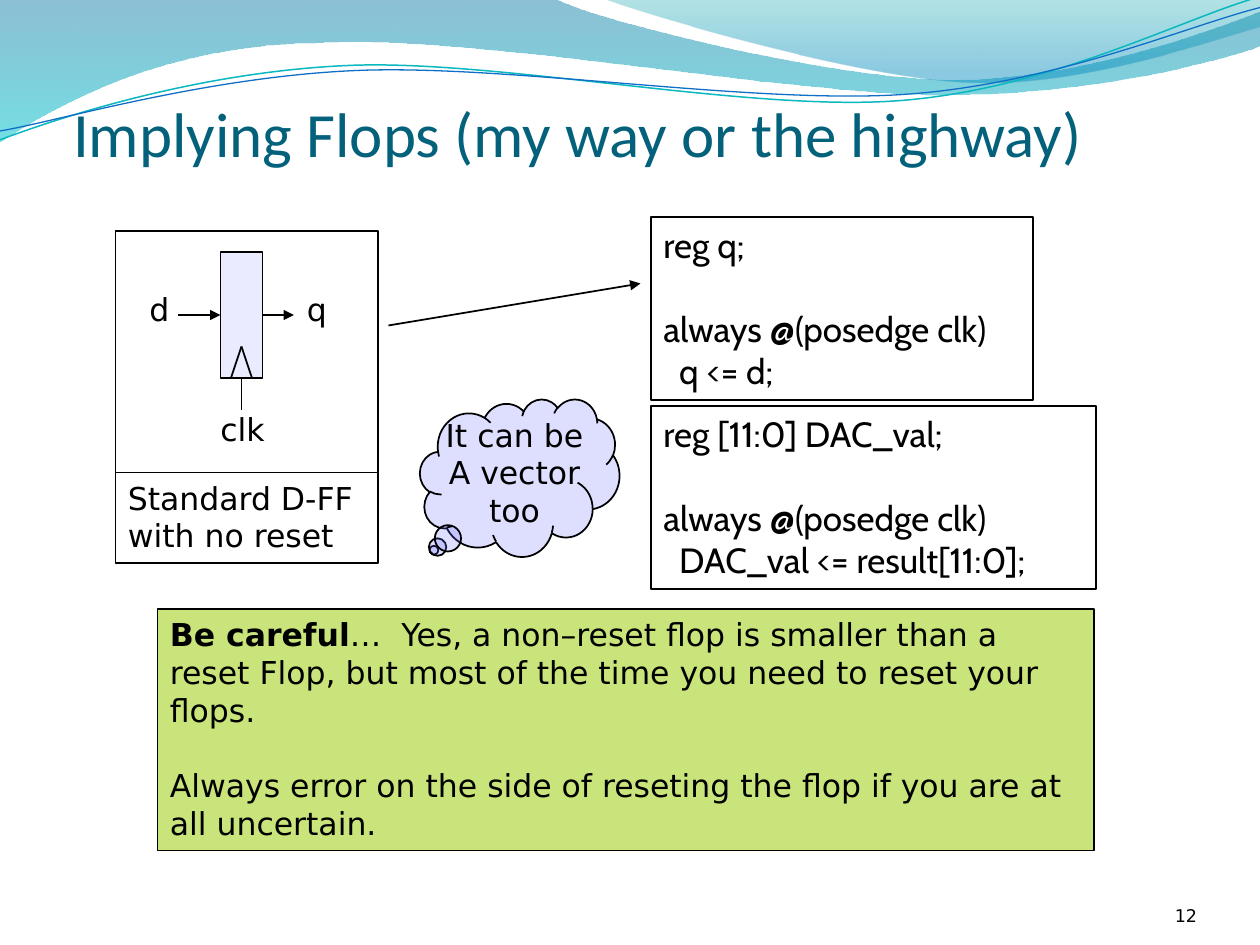
from lxml import etree
from pptx import Presentation
from pptx import util as u
from pptx.dml.color import RGBColor
from pptx.enum import shapes, text
from pptx.oxml.ns import qn

THEME = {
    "ink": "000000", "title": "04617B", "lilac": "6969FF", "green": "99CC00",
    "teal": "0AB8BF", "blue": "0F6FC6",
    "wave_main": [(0, "0074A1", 45), (1, "00C6CF", 55)],
    "wave_top": [(0, "00A1A9", 30), (0.8, "008BBF", 45)],
    "head": "Calibri", "body": "DejaVu Sans", "code": "Cabin",
    "title_size": 36, "code_size": 20, "body_size": 18, "number_size": 10,
}
INK = RGBColor.from_string(THEME["ink"])
BODY = {"name": THEME["body"], "size": u.Pt(THEME["body_size"])}
CODE = {"name": THEME["code"], "size": u.Pt(THEME["code_size"])}
RECT = shapes.MSO_SHAPE.RECTANGLE
GRID = 12


def tint(color, rgb, opacity):
    color.rgb = RGBColor.from_string(rgb)
    clr = color._xFill.find(qn("a:srgbClr"))
    etree.SubElement(clr, qn("a:alpha"), val=str(opacity * 1000))


def box(at, lines=(), kind=None, fill=None, font=BODY, gap=0, wrap=True,
        align=text.PP_ALIGN.LEFT):
    at = [u.Inches(v / GRID) for v in at]
    if kind is None:
        sp = s.shapes.add_textbox(*at)
    else:
        sp = s.shapes.add_shape(kind, *at)
        sp.shadow.inherit = False
        sp.line.color.rgb = INK
        sp.line.width = u.Pt(1)
        sp.fill.background()
        if fill:
            sp.fill.solid()
            tint(sp.fill.fore_color, *fill)
    tf = sp.text_frame
    tf.word_wrap = wrap
    tf.vertical_anchor = text.MSO_ANCHOR.TOP
    for i, line in enumerate(lines):
        p = tf.paragraphs[0] if i == 0 else tf.add_paragraph()
        p.alignment = align
        if gap and i == 1:
            p.space_before = u.Pt(gap)
        for j, part in enumerate(line.split("|")):
            r = p.add_run()
            r.text = part
            r.font.color.rgb = INK
            r.font.bold = "|" in line and j == 0
            for key, value in font.items():
                setattr(r.font, key, value)
    return sp


prs = Presentation()
prs.slide_width, prs.slide_height = u.Inches(10), u.Inches(7.5)
s = prs.slides.add_slide(prs.slide_layouts[5])

waves = [
    ([(0, -0.01), (4.4, -0.01),
      (4.76, 0.17, 6.64, 0.63, 7.58, 0.63), (8.53, 0.63, 9.58, 0.26, 10, 0.09),
      (10.01, 0.36),
      (9.83, 0.44, 8.7, 0.76, 7.46, 0.75), (6.22, 0.75, 3.82, 0.28, 2.57, 0.34),
      (1.29, 0.35, 0.46, 0.83, -0.01, 1.13)], THEME["wave_main"], None),
    ([(4.79, -0.01),
      (5.09, 0.11, 6.82, 0.62, 7.69, 0.65), (8.56, 0.69, 9.61, 0.32, 10, 0.21),
      (10, 0)], THEME["wave_top"], None),
    ([(0, 1.11),
      (0.48, 0.93, 1.58, 0.57, 2.77, 0.52), (3.95, 0.47, 5.93, 0.89, 7.13, 0.8),
      (8.33, 0.71, 9.38, 0.15, 9.98, -0.02)], None, (THEME["teal"], 0.85)),
    ([(0, 1.04),
      (0.47, 0.96, 1.64, 0.61, 2.83, 0.56), (4.03, 0.51, 5.97, 0.83, 7.17, 0.75),
      (8.36, 0.67, 9.41, 0.21, 10, 0.06)], None, (THEME["blue"], 0.75)),
]
for segments, stops, line in waves:
    points = [(u.Inches(seg[i]), u.Inches(seg[i + 1]))
              for seg in segments for i in range(0, len(seg), 2)]
    fb = s.shapes.build_freeform(*points[0])
    fb.add_line_segments(points[1:], close=bool(stops))
    sp = fb.convert_to_shape()
    sp.shadow.inherit = False
    steps = iter(list(sp._element.iter(qn("a:lnTo"))))
    for seg in segments[1:]:
        step = next(steps)
        if len(seg) == 6:
            curve = etree.Element(qn("a:cubicBezTo"))
            step.addprevious(curve)
            for part in (step, next(steps), next(steps)):
                curve.append(part[0])
                part.getparent().remove(part)
    if stops:
        sp.line.fill.background()
        sp.fill.gradient()
        sp.fill.gradient_angle = 270
        for stop, (position, rgb, opacity) in zip(sp.fill.gradient_stops, stops):
            stop.position = position
            tint(stop.color, rgb, opacity)
    else:
        sp.fill.background()
        sp.line.color.rgb = RGBColor.from_string(line[0])
        sp.line.width = u.Pt(line[1])

title = s.shapes.title
s.shapes._spTree.append(title._element)
title.left, title.top, title.width, title.height = map(u.Inches, (0.58, 0.1, 9, 1.25))
tf = title.text_frame
tf.text = "Implying Flops (my way or the highway)"
frame = {"margin_left": 0, "margin_right": 0, "margin_top": u.Inches(0.05),
         "margin_bottom": 0, "vertical_anchor": text.MSO_ANCHOR.BOTTOM,
         "auto_size": text.MSO_AUTO_SIZE.NONE}
for key, value in frame.items():
    setattr(tf, key, value)
p = tf.paragraphs[0]
p.alignment = text.PP_ALIGN.LEFT
r = p.runs[0]
r.font.name, r.font.size = THEME["head"], u.Pt(THEME["title_size"])
r.font.color.rgb = RGBColor.from_string(THEME["title"])

number = box((104, 83.4, 10, 4.8), ["12"], align=text.PP_ALIGN.RIGHT,
             font={"name": THEME["body"], "size": u.Pt(THEME["number_size"])})
for key, value in (frame | {"margin_top": 0}).items():
    setattr(number.text_frame, key, value)

flop = box((21, 24, 4, 12), kind=RECT, fill=(THEME["lilac"], 13))

wires = [
    ((23, 33, 22, 36), False, None, None),
    ((23, 33, 24, 36), False, None, None),
    ((23, 36, 23, 39), False, 2, None),
    ((17, 30, 21, 30), True, None, 1),
    ((25, 30, 28, 30), True, 3, None),
    ((37, 31, 61, 27), True, None, None),
]
for ends, arrow, begin, end in wires:
    c = s.shapes.add_connector(shapes.MSO_CONNECTOR.STRAIGHT,
                               *[u.Inches(v / GRID) for v in ends])
    c.line.color.rgb = INK
    c.line.width = u.Pt(1)
    if begin is not None:
        c.begin_connect(flop, begin)
    if end is not None:
        c.end_connect(flop, end)
    if arrow:
        etree.SubElement(c.line._get_or_add_ln(), qn("a:tailEnd"), type="triangle")
    etree.SubElement(c._element.spPr, qn("a:effectLst"))

for label, x, y, w in (("clk", 19.8, 38.5, 6.6), ("d", 13.05, 27, 4.3),
                       ("q", 28.05, 27, 4.3)):
    box((x, y, w, 4.8), [label], wrap=False)
box((11, 22, 25, 23), kind=RECT)
box((11, 45, 25, 8.6), ["Standard D-FF", "with no reset"], RECT)

box((62, 20.67, 36.4, 17.4), ["reg q;", "always @(posedge clk)", "  q <= d;"],
    RECT, font=CODE, gap=24)
box((62, 38.67, 42.4, 17.4),
    ["reg [11:0] DAC_val;", "always @(posedge clk)", "  DAC_val <= result[11:0];"],
    RECT, font=CODE, gap=24)

cloud = box((40, 38, 19, 15), kind=shapes.MSO_SHAPE.CLOUD_CALLOUT,
            fill=(THEME["lilac"], 22))
cloud.adjustments[0], cloud.adjustments[1] = -0.43, 0.46
box((41, 39, 16, 12), ["It can be", "A vector", "too"], wrap=False,
    align=text.PP_ALIGN.CENTER)

box((15, 58, 89.2, 23),
    ["Be careful|…  Yes, a non–reset flop is smaller than a reset Flop, "
     "but most of the time you need to reset your flops.",
     "Always error on the side of reseting the flop if you are at all uncertain."],
    RECT, fill=(THEME["green"], 52), gap=21.5)

prs.save("out.pptx")
